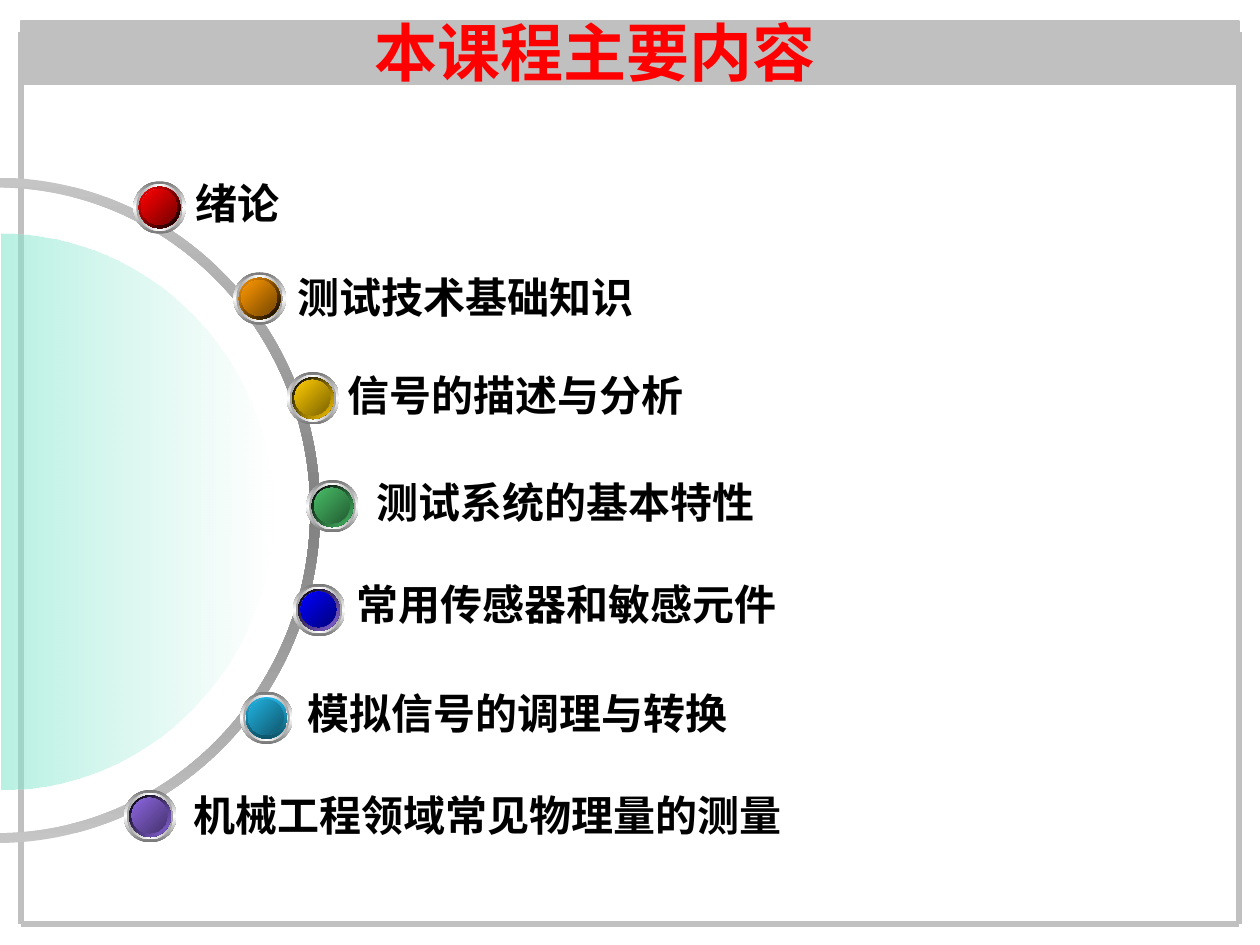
from pptx import Presentation
from pptx.dml.color import RGBColor
from pptx.enum.shapes import MSO_CONNECTOR, MSO_SHAPE
from pptx.enum.text import MSO_AUTO_SIZE
from pptx.oxml import parse_xml
from pptx.oxml.ns import qn
from pptx.util import Pt

LINE = MSO_CONNECTOR.STRAIGHT
OVAL = MSO_SHAPE.OVAL
RECT = MSO_SHAPE.RECTANGLE
GROW = MSO_AUTO_SIZE.SHAPE_TO_FIT_TEXT
HAN = "Noto Sans CJK SC"
NS = "http://schemas.openxmlformats.org/drawingml/2006/main"
BEND = 0.5523
HEX = dict(
    frame="C0C0C0", title="FF0000", text="000000", black="000000",
    white="FFFFFF", steel="767676", silver="A2A2A2", lilac="CCCCFF",
    slate="6E6E8A", pale="C5C5C5", gray="808080", mint="00CC99",
    red="FF0000", wine="760000", orange="FF9900", brown="764700",
    gold="FFCC00", olive="7C6300", green="48BE67", pine="235C32",
    blue="0000FF", navy="00007C", sky="21B3E1", teal="10576D",
    deep="0F5368", violet="8D67E1", plum="45326D",
)
ITEMS = [
    ("绪论", 76.2, 103.6, 104.7, 97.9, "red", "wine", ("red", "black", 45)),
    ("测试技术基础知识", 133.4, 155.6, 162.7, 151.5, "orange", "brown", ("orange", "black", 45)),
    ("信号的描述与分析", 163.9, 212.6, 191.5, 207.4, "gold", "olive", ("black", "gold", 45)),
    ("测试系统的基本特性", 175, 274.3, 208.1, 268.6, "green", "pine", ("black", "green", 45)),
    ("常用传感器和敏感元件", 167.3, 333.6, 196.6, 326.9, "blue", "navy", ("black", "violet", 45)),
    ("模拟信号的调理与转换", 137.3, 395.2, 168.5, 389.1, "sky", "teal", ("sky", "deep", 90)),
    ("机械工程领域常见物理量的测量", 70.8, 451.4, 103.4, 447.5, "violet", "plum", ("black", "violet", 45)),
]


def color(name):
    """Return the named colour."""
    return RGBColor.from_string(HEX[name])


def blend(shape, names, angle, alphas=None):
    """Fill a shape with evenly spaced gradient stops and no outline."""
    last = len(names) - 1
    alphas = alphas or [100] * len(names)
    stops = "".join(
        f'<a:gs pos="{100000 * i // last}"><a:srgbClr val="{HEX[name]}">'
        f'<a:alpha val="{alpha * 1000}"/></a:srgbClr></a:gs>'
        for i, (name, alpha) in enumerate(zip(names, alphas))
    )
    grad = parse_xml(
        f'<a:gradFill xmlns:a="{NS}" rotWithShape="1"><a:gsLst>{stops}</a:gsLst>'
        f'<a:lin ang="{angle * 60000}" scaled="0"/></a:gradFill>'
    )
    shape.shadow.inherit = False
    shape._element.spPr.insert(2, grad)
    shape.line.fill.background()


def write(slide, text, x, y, w, h, size=24, font=HAN, fill="text", wrap=False):
    """Add a bold text box."""
    frame = slide.shapes.add_textbox(Pt(x), Pt(y), Pt(w), Pt(h)).text_frame
    frame.word_wrap = wrap
    frame.auto_size = GROW
    run = frame.paragraphs[0].add_run()
    run.text = text
    run.font.name = font
    run.font.size = Pt(size)
    run.font.bold = True
    run.font.color.rgb = color(fill)
    east = run._r.rPr.makeelement(qn("a:ea"), {"typeface": HAN})
    run._r.rPr.find(qn("a:latin")).addnext(east)


def header(slide, x, y, w, h):
    """Draw the page frame with its title bar."""
    bar = slide.shapes.add_shape(RECT, Pt(x), Pt(y), Pt(w), Pt(36))
    bar.shadow.inherit = False
    bar.fill.solid()
    bar.fill.fore_color.rgb = bar.line.color.rgb = color("frame")
    bar.line.width = Pt(0.75)
    top, right, base = y + 6, x + w, y + h
    for ends in ((x, top, x, base), (right, top, right, base), (x, base, right, base)):
        edge = slide.shapes.add_connector(LINE, *map(Pt, ends))
        edge.line.color.rgb = color("frame")
        edge.line.width = Pt(3)
        props = edge._element.spPr
        props.append(props.makeelement(qn("a:effectLst"), {}))
    write(slide, "本课程主要内容", x + 194.8, y - 7.7, 317.5, 50.4,
          size=36, font="Times New Roman", fill="title", wrap=True)


def arch(mid, base, rx, ry):
    """List the start, bends and end of a half ellipse from left to right."""
    return [
        (mid - rx, base), (mid - rx, base - BEND * ry), (mid - BEND * rx, base - ry),
        (mid, base - ry), (mid + BEND * rx, base - ry), (mid + rx, base - BEND * ry),
        (mid + rx, base),
    ]


def dome(slide, x, y, w, h, base, thick=0):
    """Add a half disc, or a half ring if thick, turned to face right."""
    pen = slide.shapes.build_freeform(Pt(x), Pt(y))
    pen.add_line_segments([(Pt(x + w), Pt(y)), (Pt(x + w), Pt(y + h)), (Pt(x), Pt(y + h))])
    shape = pen.convert_to_shape()
    shape.rotation = 90
    route = shape._element.spPr.find(".//" + qn("a:path"))
    for step in list(route):
        route.remove(step)
    curves = [arch(w / 2, base, w / 2, base)]
    if thick:
        curves.append(arch(w / 2, base, w / 2 - thick, base - thick)[::-1])
    steps = []
    for i, curve in enumerate(curves):
        steps += [("lnTo" if i else "moveTo", curve[:1]),
                  ("cubicBezTo", curve[1:4]), ("cubicBezTo", curve[4:])]
    for kind, points in steps + [("close", [])]:
        spots = "".join(f'<a:pt x="{Pt(a)}" y="{Pt(b)}"/>' for a, b in points)
        route.append(parse_xml(f'<a:{kind} xmlns:a="{NS}">{spots}</a:{kind}>'))
    return shape


def wheel(slide, x, y, w, h):
    """Draw the half ring and the tinted half disc inside it."""
    ring = dome(slide, x, y, w, h, h / 2 - 2.9, 5.6)
    blend(ring, ["pale", "gray", "pale"], 0)
    disc = dome(slide, x + 37.4, y + 33.8, 317.5, 309.6, 154.8)
    blend(disc, ["mint", "white"], 270, [56, 48])


def dot(slide, x, y, light, dark, rim):
    """Draw a shiny button as a group of stacked ovals."""
    group = slide.shapes.add_group_shape()
    layers = [
        (0, 30, ["steel", "white", "steel"], 90),
        (1.7, 26.6, ["silver", "white", "silver"], 0),
        (3.1, 23.8, ["white", "lilac", "white"], 45),
        (3.1, 23.8, rim[:2], rim[2]),
        (4.5, 20.3, ["slate", "lilac", "slate"], 315),
        (4.5, 20.3, [light, dark], 45),
    ]
    for gap, size, names, angle in layers:
        oval = group.shapes.add_shape(OVAL, Pt(x + gap), Pt(y + gap), Pt(size), Pt(size))
        blend(oval, names, angle)


def main():
    """Build the slide and save it."""
    deck = Presentation()
    deck.slide_width, deck.slide_height = Pt(720), Pt(540)
    slide = deck.slides.add_slide(deck.slide_layouts[6])
    header(slide, 12, 12, 696, 516)
    wheel(slide, -195.1, 103.7, 380.2, 375.8)
    for text, x, y, left, top, light, dark, rim in ITEMS:
        dot(slide, x, y, light, dark, rim)
        write(slide, text, left, top, 24 * len(text) + 14.4, 36)
    deck.save("out.pptx")


if __name__ == "__main__":
    main()
